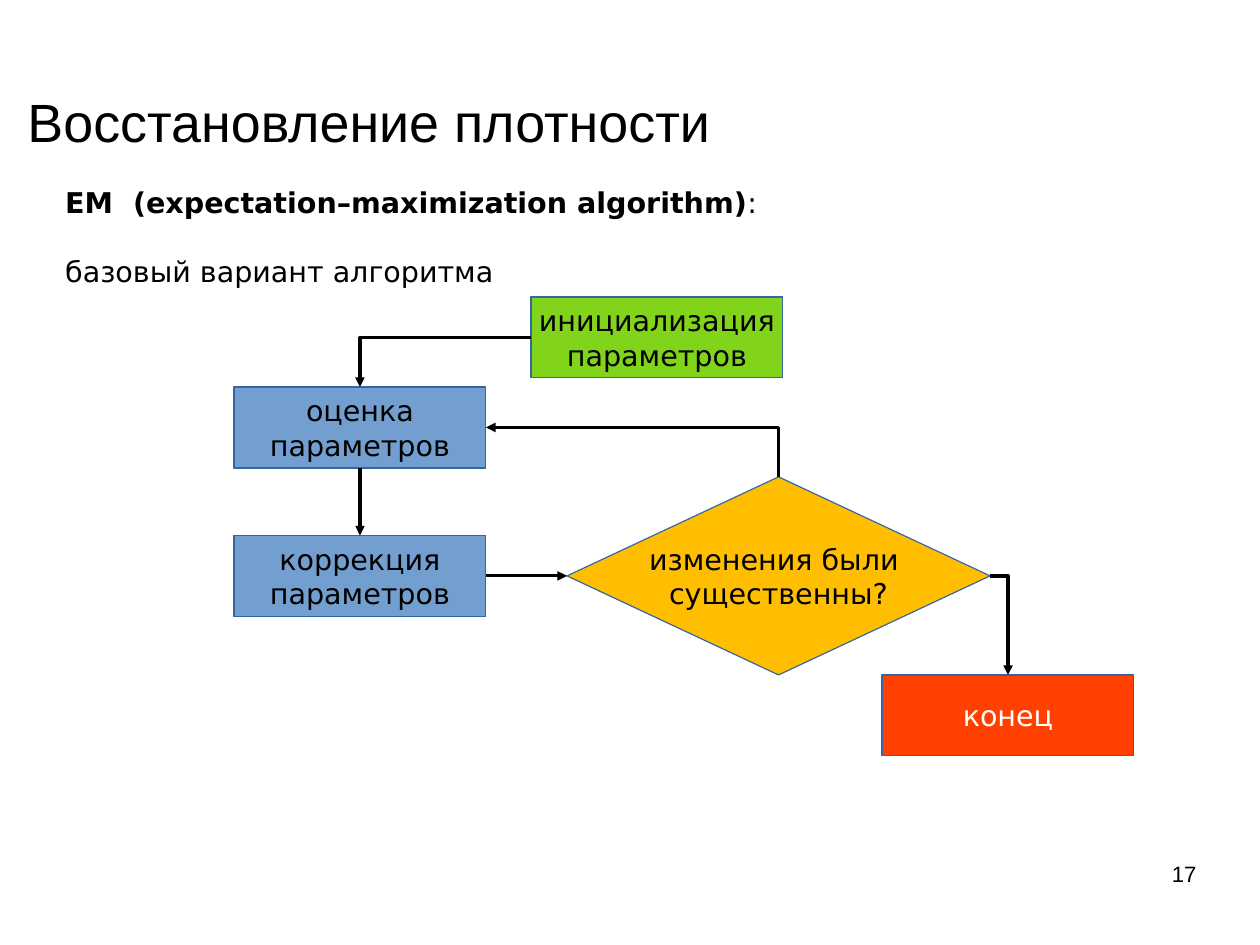
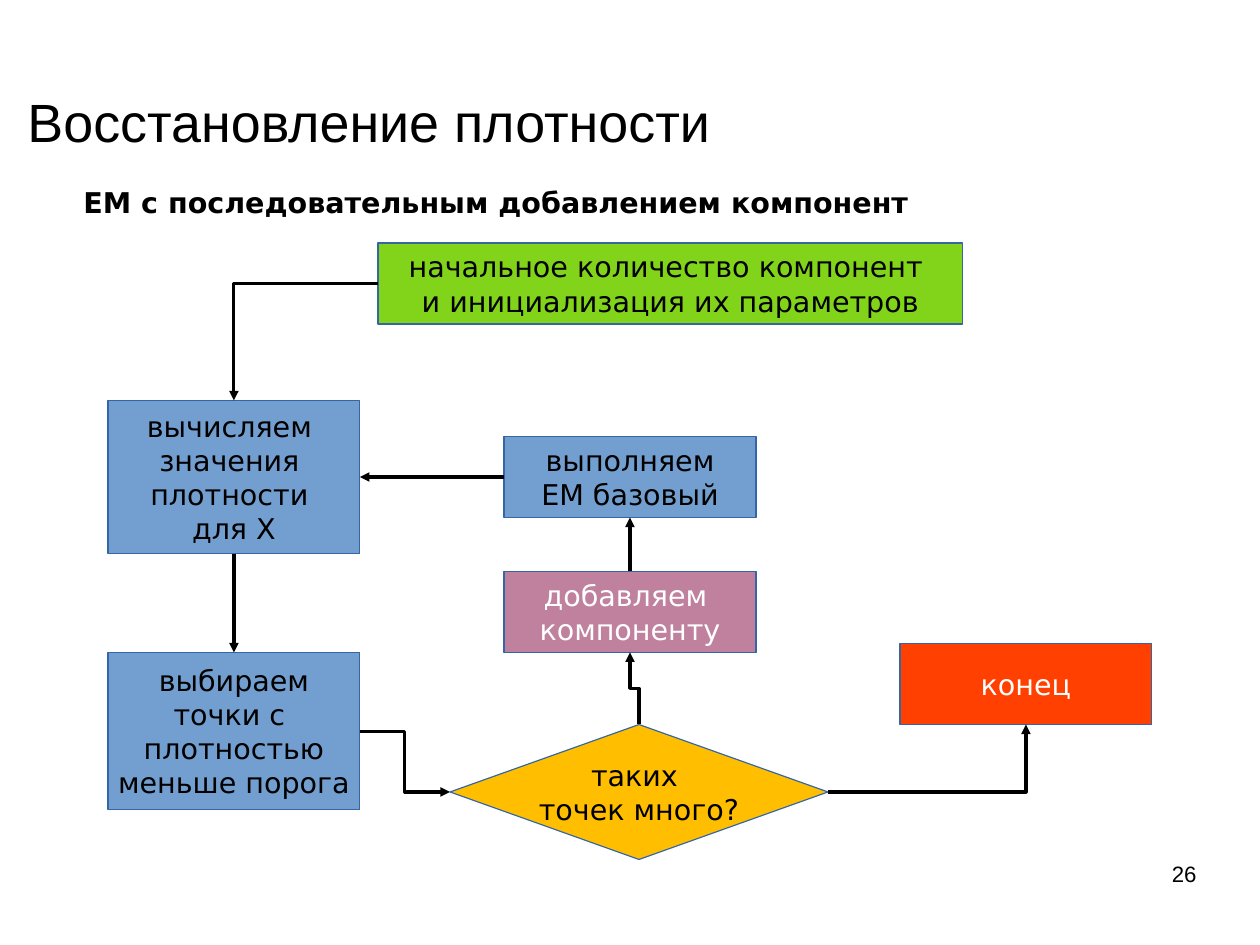
"""Build two flowchart slides on density estimation with the EM algorithm."""
from lxml import etree
from pptx import Presentation
from pptx.dml.color import RGBColor
from pptx.enum.shapes import MSO_CONNECTOR, MSO_SHAPE
from pptx.enum.text import MSO_ANCHOR, PP_ALIGN
from pptx.oxml.ns import qn
from pptx.util import Pt

ELBOW = MSO_CONNECTOR.ELBOW
RECTANGLE, DIAMOND = MSO_SHAPE.RECTANGLE, MSO_SHAPE.DIAMOND
TOP_ANCHOR, MIDDLE = MSO_ANCHOR.TOP, MSO_ANCHOR.MIDDLE
LEFT_ALIGN, CENTER, RIGHT_ALIGN = PP_ALIGN.LEFT, PP_ALIGN.CENTER, PP_ALIGN.RIGHT
TOP, LEFT, BOTTOM, RIGHT = range(4)

COLORS = {
    "text": "000000",
    "light_text": "FFFFFF",
    "outline": "3465A4",
    "start": "81D41A",
    "step": "729FCF",
    "decision": "FFBF00",
    "addition": "BF819E",
    "end": "FF4000",
}
LIGHT_TEXT_ROLES = ("addition", "end")
TITLE_FONT, BODY_FONT = "Arial", "DejaVu Sans"
TITLE = "Восстановление плотности"
BODY_SIZE = 18
LINE_GAP = 21.6
NODE_WIDTH, NODE_HEIGHT = 158.7, 51


def color(name):
    """Return the named colour."""
    return RGBColor.from_string(COLORS[name])


def style_font(font, name, size, color_name):
    """Set the face, size and colour of a font."""
    font.name = name
    font.size = Pt(size)
    font.color.rgb = color(color_name)


def add_text(page, text, area, font_name=BODY_FONT, size=BODY_SIZE,
             align=LEFT_ALIGN, anchor=TOP_ANCHOR, margins=(7.2, 3.6)):
    """Add a wrapped text box and return its paragraphs."""
    frame = page.shapes.add_textbox(*map(Pt, area)).text_frame
    frame.word_wrap = True
    frame.vertical_anchor = anchor
    frame.margin_left = frame.margin_right = Pt(margins[0])
    frame.margin_top = frame.margin_bottom = Pt(margins[1])
    frame.text = text
    for para in frame.paragraphs:
        para.alignment = align
        for span in para.runs:
            style_font(span.font, font_name, size, "text")
    return frame.paragraphs


def add_page(deck, number):
    """Add a blank slide with the shared title and its page number."""
    page = deck.slides.add_slide(deck.slide_layouts[6])
    add_text(page, TITLE, (17.3, 56.9, 697, 38.9), TITLE_FONT, 33.9,
             anchor=MIDDLE, margins=(0, 0))
    add_text(page, str(number), (568.8, 542.2, 185, 41), TITLE_FONT, 14,
             align=RIGHT_ALIGN, margins=(0, 0))
    return page


def add_node(page, role, text, left, top, width=NODE_WIDTH, height=NODE_HEIGHT):
    """Add a flowchart node whose shape and colours follow its role."""
    preset = DIAMOND if role == "decision" else RECTANGLE
    node = page.shapes.add_shape(preset, Pt(left), Pt(top), Pt(width), Pt(height))
    node.shadow.inherit = False
    node.fill.solid()
    node.fill.fore_color.rgb = color(role)
    node.line.color.rgb = color("outline")
    node.line.width = Pt(0)
    frame = node.text_frame
    frame.word_wrap = False
    frame.vertical_anchor = MIDDLE
    frame.text = text
    text_color = "light_text" if role in LIGHT_TEXT_ROLES else "text"
    for para in frame.paragraphs:
        para.alignment = CENTER
        for span in para.runs:
            style_font(span.font, BODY_FONT, BODY_SIZE, text_color)
    return node


def turn_upright(connector, across, down):
    """Rotate a bent connector so that it leaves its start vertically."""
    middle_x = (connector.begin_x + connector.end_x) // 2
    middle_y = (connector.begin_y + connector.end_y) // 2
    connector.width, connector.height = abs(down), abs(across)
    connector.left = middle_x - connector.width // 2
    connector.top = middle_y - connector.height // 2
    xfrm = connector._element.spPr.find(qn("a:xfrm"))
    xfrm.set("rot", str((90 if down > 0 else 270) * 60000))
    xfrm.set("flipH", "0")
    xfrm.set("flipV", "1" if (across > 0) == (down > 0) else "0")


def add_arrow(page, start, start_side, end, end_side):
    """Join two nodes with a straight or bent arrow."""
    connector = page.shapes.add_connector(ELBOW, 0, 0, 0, 0)
    connector.begin_connect(start, start_side)
    connector.end_connect(end, end_side)
    connector.line.color.rgb = color("text")
    connector.line.width = Pt(0)
    properties = connector._element.spPr
    etree.SubElement(properties.find(qn("a:ln")), qn("a:tailEnd"), type="triangle")
    etree.SubElement(properties, qn("a:effectLst"))

    across = connector.end_x - connector.begin_x
    down = connector.end_y - connector.begin_y
    preset = properties.find(qn("a:prstGeom"))
    if min(abs(across), abs(down)) < Pt(1):
        preset.set("prst", "straightConnector1")
        return
    if start_side % 2 != end_side % 2:
        preset.set("prst", "bentConnector2")
    if start_side in (TOP, BOTTOM):
        turn_upright(connector, across, down)


def build_basic_algorithm(deck):
    """Build the flowchart of the basic EM algorithm."""
    page = add_page(deck, 17)
    heading, caption = add_text(
        page, "EM  (expectation–maximization algorithm)\nбазовый вариант алгоритма",
        (34, 113.2, 538.6, 72.6))
    heading.runs[0].font.bold = True
    colon = heading.add_run()
    colon.text = ":"
    style_font(colon.font, BODY_FONT, BODY_SIZE, "text")
    caption.space_before = Pt(LINE_GAP)

    start = add_node(page, "start", "инициализация\nпараметров", 334.5, 187.1)
    estimate = add_node(page, "step", "оценка\nпараметров", 147.4, 243.8)
    correct = add_node(page, "step", "коррекция\nпараметров", 147.4, 337.3)
    changed = add_node(page, "decision", "изменения были \nсущественны?",
                       357.2, 300.4, 266.5, 124.8)
    end = add_node(page, "end", "конец", 555.6, 425.2)

    for link in ((start, LEFT, estimate, TOP),
                 (estimate, BOTTOM, correct, TOP),
                 (correct, RIGHT, changed, LEFT),
                 (changed, TOP, estimate, RIGHT),
                 (changed, RIGHT, end, TOP)):
        add_arrow(page, *link)


def build_component_algorithm(deck):
    """Build the flowchart of EM with components added one by one."""
    page = add_page(deck, 26)
    heading, = add_text(page, "EM с последовательным добавлением компонент",
                        (45.4, 113.2, 544.3, 29))
    heading.runs[0].font.bold = True

    start = add_node(page, "start",
                     "начальное количество компонент \nи инициализация их параметров",
                     238.1, 153.1, width=368.5)
    density = add_node(page, "step", "вычисляем \nзначения \nплотности \nдля X",
                       68, 252.3, height=96.4)
    select = add_node(page, "step", "выбираем\nточки с \nплотностью\nменьше порога",
                      68, 411, height=99.2)
    many = add_node(page, "decision", "таких \nточек много?",
                    283.5, 456.4, 238.1, 85)
    end = add_node(page, "end", "конец", 566.9, 405.4)
    extend = add_node(page, "addition", "добавляем \nкомпоненту", 317.5, 360)
    basic = add_node(page, "step", "выполняем\nЕМ базовый", 317.5, 275)

    for link in ((start, LEFT, density, TOP),
                 (density, BOTTOM, select, TOP),
                 (select, RIGHT, many, LEFT),
                 (many, TOP, extend, BOTTOM),
                 (many, RIGHT, end, BOTTOM),
                 (extend, TOP, basic, BOTTOM),
                 (basic, LEFT, density, RIGHT)):
        add_arrow(page, *link)


def main():
    """Build and save the deck."""
    deck = Presentation()
    deck.slide_width, deck.slide_height = Pt(793.7), Pt(595.3)
    build_basic_algorithm(deck)
    build_component_algorithm(deck)
    deck.save("out.pptx")


if __name__ == "__main__":
    main()
